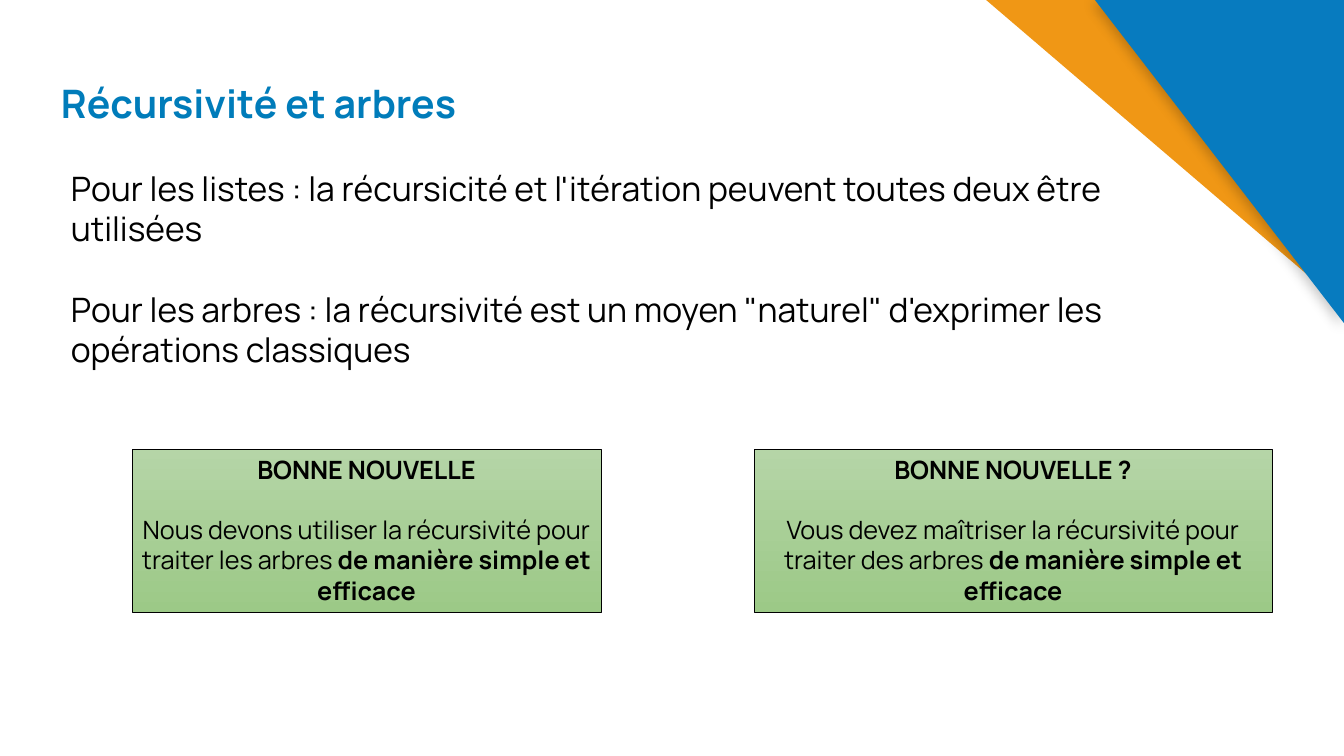
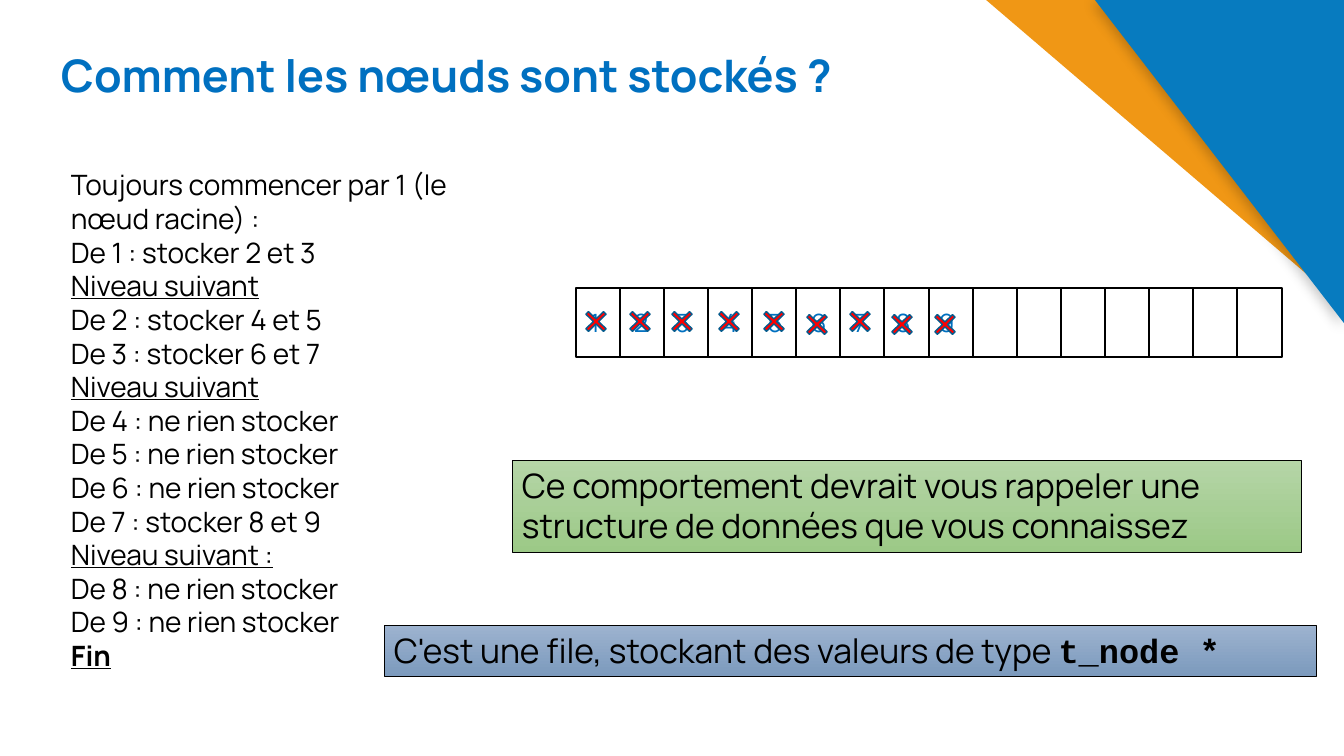
"""Build two slides on recursion and the storage of tree nodes."""
from lxml.etree import SubElement
from pptx import Presentation
from pptx.dml.color import RGBColor
from pptx.enum.shapes import MSO_SHAPE as SHAPE
from pptx.enum.text import MSO_ANCHOR as ANCHOR, PP_ALIGN as ALIGN
from pptx.oxml.ns import qn
from pptx.util import Pt

EMU_PER_PX = 914400 / 100.8
WIDTH, HEIGHT = 1344, 756
FONT, CODE_FONT = "Manrope", "Courier New"

BLACK = RGBColor(0x00, 0x00, 0x00)
ORANGE = RGBColor(0xF0, 0x97, 0x15)
BLUE = RGBColor(0x07, 0x7B, 0xBF)
TITLE_TEAL = RGBColor(0x00, 0x7C, 0xBA)
TITLE_BLUE = RGBColor(0x00, 0x70, 0xC0)
RED = RGBColor(0xFF, 0x00, 0x00)
CROSS_EDGE = RGBColor(0x05, 0x5B, 0x8D)
GREEN = (RGBColor(0xB5, 0xD5, 0xA7), RGBColor(0x9C, 0xC9, 0x87))
STEEL = (RGBColor(0x9D, 0xB3, 0xCF), RGBColor(0x7C, 0x9A, 0xBD))


def px(n):
    return round(n * EMU_PER_PX)


class Deck:
    def __init__(self):
        self.prs = Presentation()
        self.prs.slide_width, self.prs.slide_height = px(WIDTH), px(HEIGHT)

    def slide(self, title, size, color, height):
        self.s = self.prs.slides.add_slide(self.prs.slide_layouts[6])
        self.corner([(985, -1), (WIDTH, 0), (WIDTH, 306)], ORANGE)
        self.shadow(self.corner([(1095, 0), (WIDTH, 0), (WIDTH, 323)], BLUE))
        tf = self.text((61, 39, 1068, height), [[(title, "b")]], size, color)
        tf.margin_left = 0
        tf.vertical_anchor = ANCHOR.BOTTOM
        tf.paragraphs[0].line_spacing = 0.9

    def corner(self, points, color):
        builder = self.s.shapes.build_freeform(*points[0], scale=EMU_PER_PX)
        builder.add_line_segments(points[1:])
        sp = builder.convert_to_shape()
        sp.shadow.inherit = False
        sp.fill.solid()
        sp.fill.fore_color.rgb = color
        sp.line.fill.background()
        return sp

    def shadow(self, sp):
        effects = sp._element.spPr.find(qn("a:effectLst"))
        outer = SubElement(effects, qn("a:outerShdw"), blurRad=str(Pt(9)),
                           dist=str(Pt(3)), dir="8100000", algn="tr", rotWithShape="0")
        rgb = SubElement(outer, qn("a:srgbClr"), val=str(BLACK))
        SubElement(rgb, qn("a:alpha"), val="22000")

    def set_text(self, tf, paragraphs, size, color=BLACK, align=ALIGN.LEFT, gap=0):
        tf.word_wrap = True
        tf.vertical_anchor = ANCHOR.TOP
        for i, runs in enumerate(paragraphs):
            p = tf.add_paragraph() if i else tf.paragraphs[0]
            p.alignment = align
            p.space_before = Pt(gap if i else 0)
            for text, marks in runs:
                r = p.add_run()
                r.text = text
                r.font.name = CODE_FONT if "c" in marks else FONT
                r.font.size = Pt(size)
                r.font.color.rgb = color
                r.font.bold = "b" in marks
                r.font.underline = "u" in marks
        return tf

    def text(self, box, paragraphs, size, color=BLACK, gap=0):
        sp = self.s.shapes.add_textbox(*map(px, box))
        return self.set_text(sp.text_frame, paragraphs, size, color, gap=gap)

    def shape(self, kind, box, line, weight):
        sp = self.s.shapes.add_shape(kind, *map(px, box))
        sp.shadow.inherit = False
        sp.line.color.rgb = line
        sp.line.width = Pt(weight)
        return sp

    def panel(self, box, colors, paragraphs, size, align=ALIGN.LEFT, gap=0):
        sp = self.shape(SHAPE.RECTANGLE, box, BLACK, 0.5)
        sp.fill.gradient()
        sp.fill.gradient_angle = 270
        for stop, color in zip(sp.fill.gradient_stops, colors):
            stop.color.rgb = color
        self.set_text(sp.text_frame, paragraphs, size, align=align, gap=gap)

    def cell(self, box):
        self.shape(SHAPE.RECTANGLE, box, BLACK, 1.5).fill.background()

    def cross(self, x, y):
        sp = self.shape(SHAPE.MATH_MULTIPLY, (x, y, 34, 33), CROSS_EDGE, 1)
        sp.adjustments[0] = 0.11
        sp.fill.solid()
        sp.fill.fore_color.rgb = RED


def recursion_slide(deck):
    deck.slide("Récursivité et arbres", 28, TITLE_TEAL, 93)
    deck.text((61, 163, 1140, 254), [
        [("Pour les listes : la récursicité et l'itération peuvent toutes deux être utilisées", "")],
        [("Pour les arbres : la récursivité est un moyen \"naturel\" d'exprimer les "
          "opérations classiques", "")],
    ], 24, gap=28.9)
    for x, w, heading, lead in (
        (132, 469, "BONNE NOUVELLE",
         "Nous devons utiliser la récursivité pour traiter les arbres "),
        (754, 518, "BONNE NOUVELLE ?",
         "Vous devez maîtriser la récursivité pour traiter des arbres "),
    ):
        deck.panel((x, 449, w, 163), GREEN, [
            [(heading, "b")],
            [(lead, ""), ("de manière simple et efficace", "b")],
        ], 18, ALIGN.CENTER, 21.6)


def storage_slide(deck):
    deck.slide("Comment les nœuds sont stockés ?", 32, TITLE_BLUE, 68)
    steps = (
        ("Toujours commencer par 1 (le nœud racine) :", ""),
        ("De 1 : stocker 2 et 3", ""),
        ("Niveau suivant", "u"),
        ("De 2 : stocker 4 et 5", ""),
        ("De 3 : stocker 6 et 7", ""),
        ("Niveau suivant", "u"),
        ("De 4 : ne rien stocker", ""),
        ("De 5 : ne rien stocker", ""),
        ("De 6 : ne rien stocker", ""),
        ("De 7 : stocker 8 et 9", ""),
        ("Niveau suivant :", "u"),
        ("De 8 : ne rien stocker", ""),
        ("De 9 : ne rien stocker", ""),
        ("Fin", "bu"),
    )
    deck.text((61, 163, 479, 587), [[step] for step in steps], 20)

    cells, queue_left, queue_width = 16, 576, 706
    edges = [queue_left + i * queue_width // cells for i in range(cells + 1)]
    for left, right in zip(edges, edges[1:]):
        deck.cell((left, 288, right - left, 69))

    crosses = ((579, 305), (623, 305), (665, 305), (712, 305), (757, 305),
               (800, 308), (843, 305), (885, 308), (928, 308))
    for node, (x, y) in enumerate(crosses, 1):
        deck.text((x + 1, 302, 34, 40), [[(str(node), "")]], 18, TITLE_BLUE)
        deck.cross(x, y)

    deck.panel((512, 460, 789, 92), GREEN, [
        [("Ce comportement devrait vous rappeler une structure de données "
          "que vous connaissez", "")],
    ], 24)
    deck.panel((384, 625, 932, 51), STEEL, [
        [("C'est une file, stockant des valeurs de type ", ""), ("t_node *", "bc")],
    ], 24)


def main():
    deck = Deck()
    recursion_slide(deck)
    storage_slide(deck)
    deck.prs.save("out.pptx")


if __name__ == "__main__":
    main()
